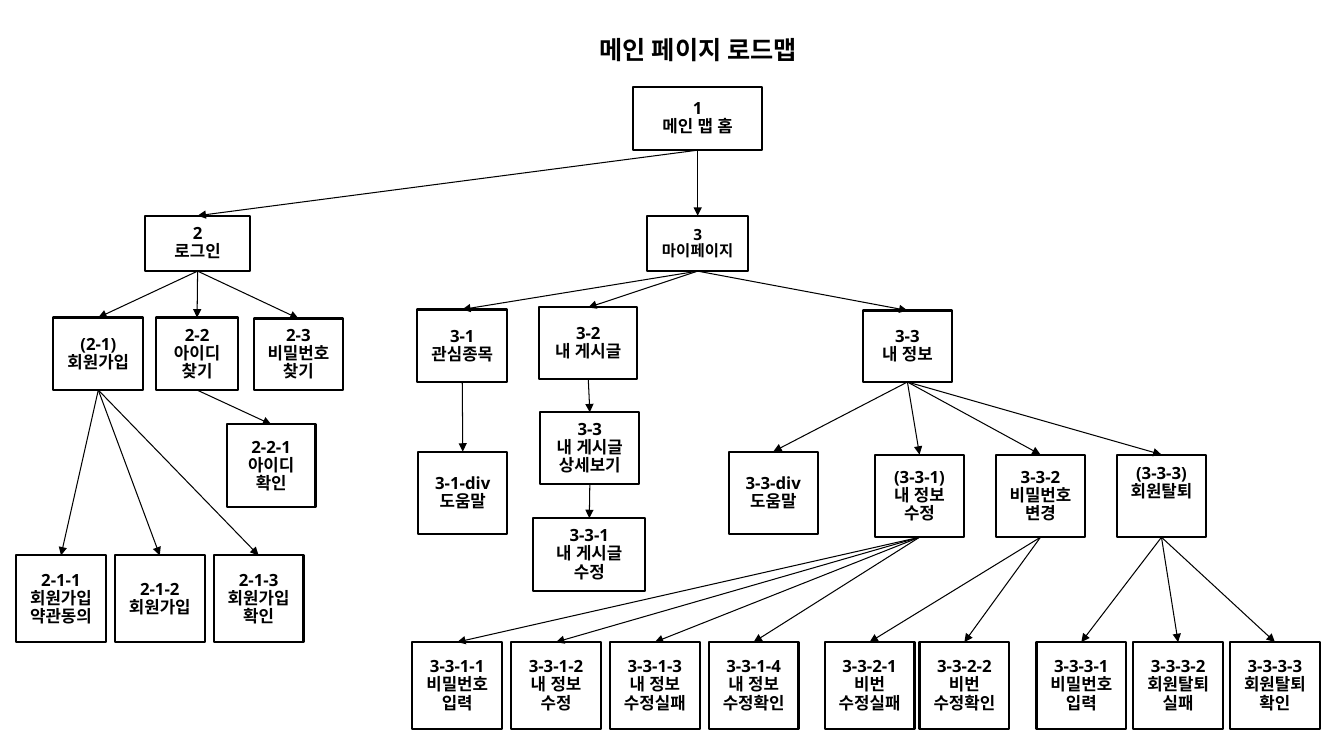
import pptx
import pptx.util
import pptx.dml.color
import pptx.enum.shapes
import pptx.enum.text
import pptx.oxml.ns
import lxml.etree
from dataclasses import dataclass

Inches = pptx.util.Inches
MIDDLE = pptx.enum.text.MSO_ANCHOR.MIDDLE
TOP = pptx.enum.text.MSO_ANCHOR.TOP
BOTTOM_SITE, TOP_SITE = 2, 0


@dataclass(frozen=True)
class Theme:
    ink: pptx.dml.color.RGBColor = pptx.dml.color.RGBColor(0, 0, 0)
    title_font: str = "Noto Sans CJK KR"
    box_font: str = "Open Sans"
    title_size: int = 18
    box_size: int = 12
    small_size: int = 11
    border: float = 1.5
    arrow: float = 0.75
    leading: float = 0.9


THEME = Theme()


def add_xml(parent, tag, **attributes):
    return lxml.etree.SubElement(parent, pptx.oxml.ns.qn(tag), attributes)


def write_text(frame, text, *, font, size, anchor=MIDDLE, inset=0.1, leading=None):
    frame.word_wrap = True
    frame.vertical_anchor = anchor
    frame.margin_left = frame.margin_right = Inches(0.1)
    frame.margin_top = frame.margin_bottom = Inches(inset)
    frame.text = text
    for para in frame.paragraphs:
        para.alignment = pptx.enum.text.PP_ALIGN.CENTER
        para.line_spacing = leading
        for span in para.runs:
            span.font.name = font
            span.font.size = pptx.util.Pt(size)
            span.font.bold = True
            span.font.color.rgb = THEME.ink
            add_xml(span.font._element, "a:ea", typeface=font)


def add_title(page, text):
    box = page.shapes.add_textbox(Inches(5.63), Inches(0.29), Inches(2.59), Inches(0.4))
    write_text(box.text_frame, text, font=THEME.title_font, size=THEME.title_size,
               anchor=TOP, inset=0.05)


def add_arrow(page, parent, child):
    arrow = page.shapes.add_connector(pptx.enum.shapes.MSO_CONNECTOR.STRAIGHT, 0, 0, 0, 0)
    arrow.begin_connect(parent, BOTTOM_SITE)
    arrow.end_connect(child, TOP_SITE)
    arrow.line.color.rgb = THEME.ink
    arrow.line.width = pptx.util.Pt(THEME.arrow)
    add_xml(arrow.line._get_or_add_ln(), "a:tailEnd", type="triangle")
    add_xml(arrow._element.spPr, "a:effectLst")


def add_box(page, text, left, top, width, height, parent=None, size=THEME.box_size,
            anchor=MIDDLE):
    box = page.shapes.add_shape(pptx.enum.shapes.MSO_SHAPE.RECTANGLE,
                                Inches(left), Inches(top), Inches(width), Inches(height))
    box.shadow.inherit = False
    box.fill.background()
    box.line.color.rgb = THEME.ink
    box.line.width = pptx.util.Pt(THEME.border)
    write_text(box.text_frame, text, font=THEME.box_font, size=size, anchor=anchor,
               leading=THEME.leading)
    if parent is not None:
        add_arrow(page, parent, box)
    return box


def add_leaves(page, parent, left, top, pitch, labels):
    for index, label in enumerate(labels):
        add_box(page, label, left + index * pitch, top, 0.89, 0.86, parent)


def add_login_branch(page, home):
    login = add_box(page, "2\n로그인", 1.44, 2.14, 1.04, 0.55, home)
    join = add_box(page, "(2-1)\n회원가입", 0.53, 3.15, 0.89, 0.72, login)
    find_id = add_box(page, "2-2\n아이디\n찾기", 1.55, 3.15, 0.81, 0.72, login)
    add_box(page, "2-3\n비밀번호찾기", 2.52, 3.16, 0.88, 0.71, login)
    add_box(page, "2-2-1\n아이디\n확인", 2.25, 4.21, 0.88, 0.82, find_id)
    add_leaves(page, join, 0.16, 5.51, 0.98,
               ["2-1-1\n회원가입\n약관동의", "2-1-2\n회원가입", "2-1-3\n회원가입\n확인"])


def add_my_page_branch(page, home):
    my_page = add_box(page, "3\n마이페이지", 6.42, 2.14, 1, 0.55, home,
                      size=THEME.small_size)

    # Favourites and posts
    favourites = add_box(page, "3-1\n관심종목", 4.14, 3.07, 0.89, 0.72, my_page)
    add_box(page, "3-1-div\n도움말", 4.15, 4.48, 0.88, 0.82, favourites)
    posts = add_box(page, "3-2\n내 게시글", 5.35, 3.05, 0.97, 0.71, my_page)
    detail = add_box(page, "3-3\n내 게시글\n상세보기", 5.36, 4.09, 0.98, 0.71, posts)
    add_box(page, "3-3-1\n내 게시글\n수정", 5.29, 5.14, 1.11, 0.72, detail)

    # Personal information
    profile = add_box(page, "3-3\n내 정보", 8.56, 3.08, 0.88, 0.71, my_page)
    add_box(page, "3-3-div\n도움말", 7.23, 4.48, 0.88, 0.82, profile)
    edit, password, leave = [
        add_box(page, label, 8.68 + index * 1.2, 4.51, 0.88, 0.82, profile, anchor=anchor)
        for index, (label, anchor) in enumerate([
            ("(3-3-1)\n내 정보\n수정", MIDDLE),
            ("3-3-2\n비밀번호\n변경", MIDDLE),
            ("(3-3-3)\n회원탈퇴", TOP),
        ])
    ]

    # Bottom row
    add_leaves(page, edit, 4.09, 6.37, 0.98,
               ["3-3-1-1\n비밀번호\n입력", "3-3-1-2\n내 정보\n수정",
                "3-3-1-3\n내 정보\n수정실패", "3-3-1-4\n내 정보\n수정확인"])
    add_leaves(page, password, 8.18, 6.37, 0.94,
               ["3-3-2-1\n비번\n수정실패", "3-3-2-2\n비번\n수정확인"])
    add_leaves(page, leave, 10.28, 6.37, 0.96,
               ["3-3-3-1\n비밀번호\n입력", "3-3-3-2\n회원탈퇴\n실패",
                "3-3-3-3\n회원탈퇴\n확인"])


def main():
    deck = pptx.Presentation()
    deck.slide_width, deck.slide_height = Inches(13.33), Inches(7.5)
    page = deck.slides.add_slide(deck.slide_layouts[6])
    add_title(page, "메인 페이지 로드맵")
    home = add_box(page, "1\n메인 맵 홈", 6.28, 0.86, 1.28, 0.63)
    add_login_branch(page, home)
    add_my_page_branch(page, home)
    deck.save("out.pptx")


main()
